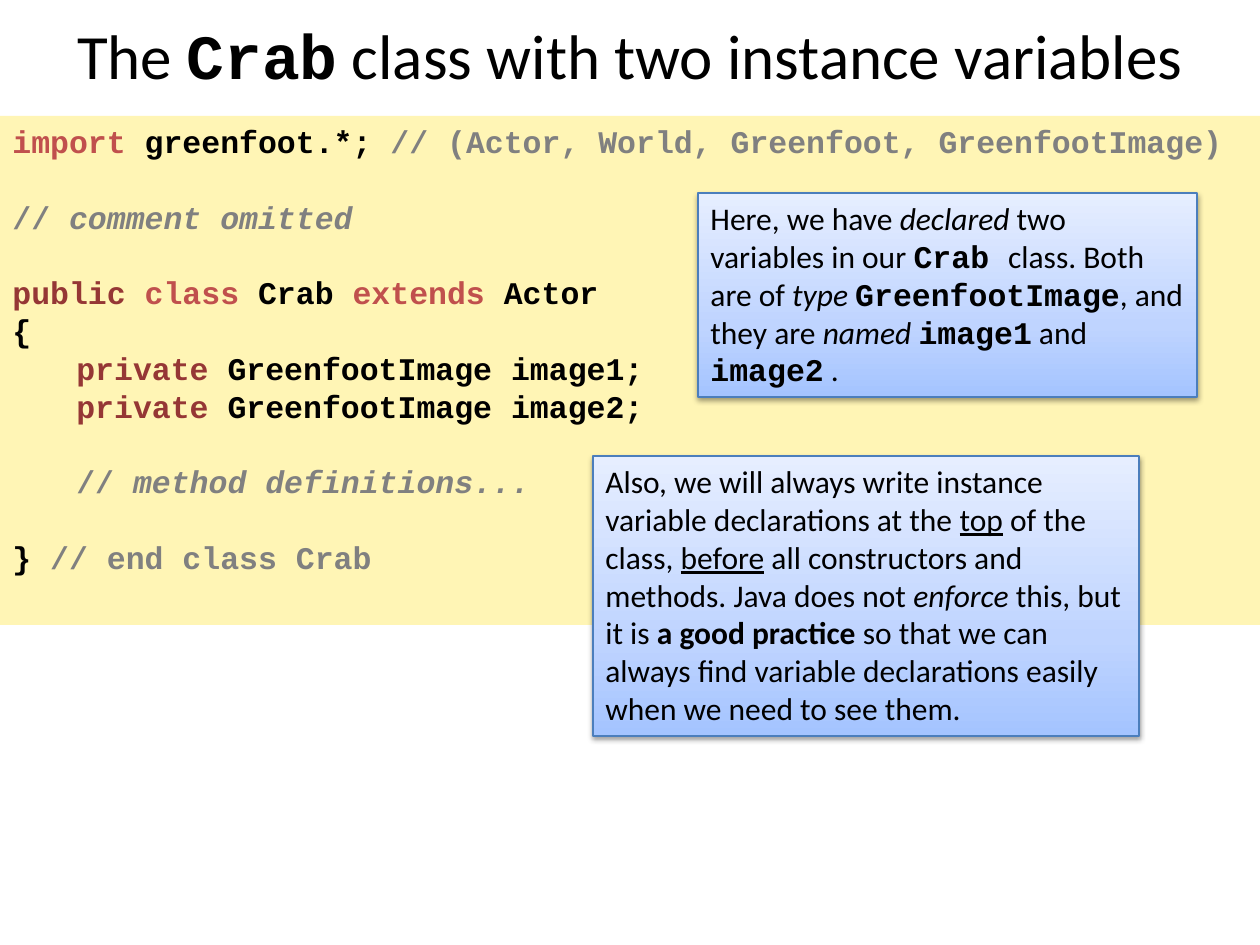
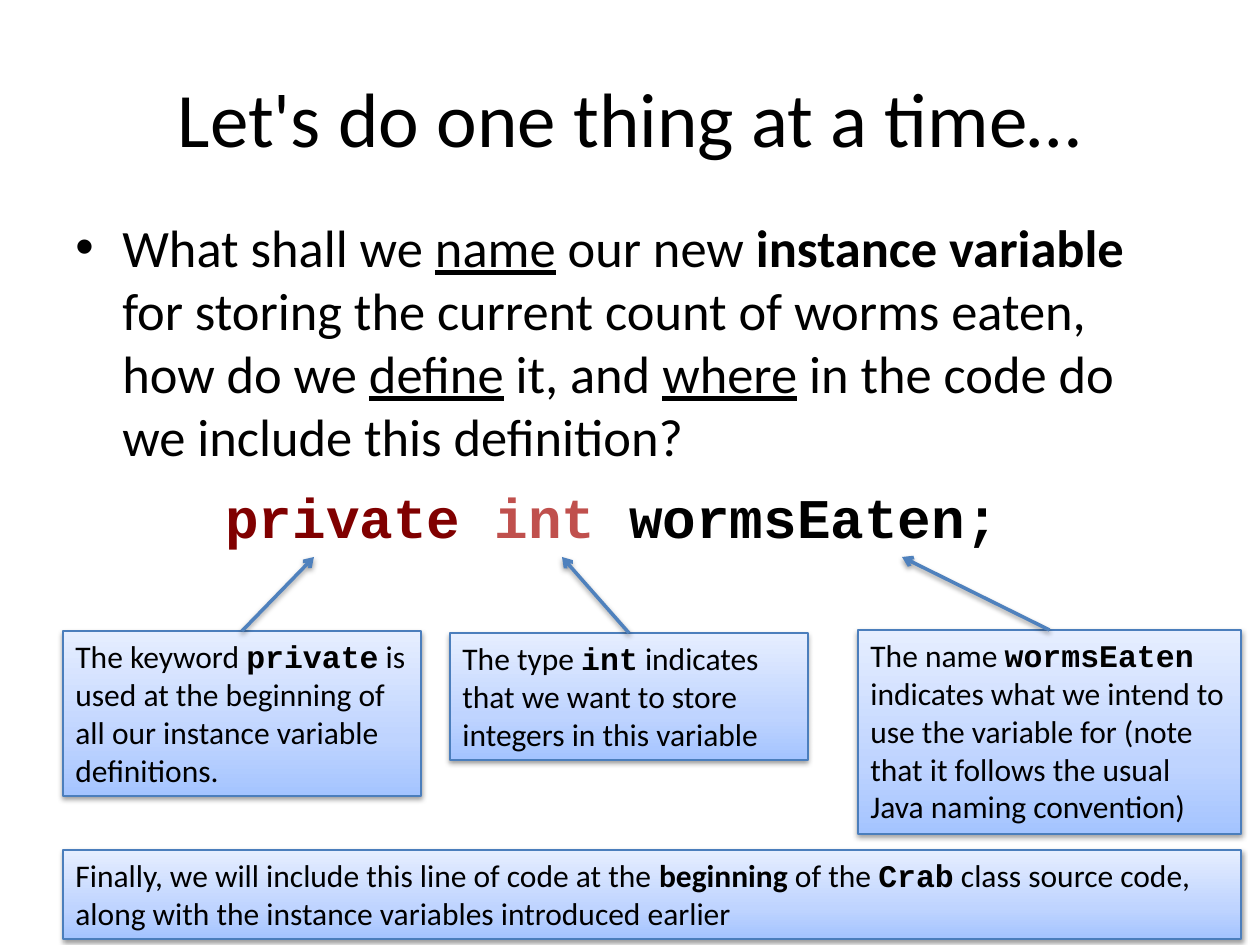
from lxml.etree import SubElement
from pptx import Presentation
from pptx.dml.color import RGBColor
from pptx.enum.shapes import MSO_CONNECTOR, MSO_SHAPE
from pptx.enum.text import MSO_ANCHOR, PP_ALIGN
from pptx.oxml.ns import qn
from pptx.util import Pt

SLIDE_WIDTH, SLIDE_HEIGHT = 1260, 945
EMU_PER_PX = 914400 / 126

BODY_FONT, CODE_FONT = "Calibri", "Courier New"
BLACK, CODE_BAND = "000000", "FFF5B5"
NOTE_GRADIENT = [(0, "A4C4FF"), (35, "BFD4FF"), (100, "E6EEFF")]
NOTE_BORDER, ARROW_COLOR = "4B7EBC", "4F81BD"
CODE_SIZE = NOTE_SIZE = 18
CODE_BLANK_LINE = 21.6
CODE_TAB = 64
BULLET_INDENT = 47

STYLES = {
    "plain": {},
    "italic": {"italic": True},
    "bold": {"bold": True},
    "underline": {"underline": True},
    "code": {"name": CODE_FONT, "bold": True},
    "keyword": {"color": "C0504D"},
    "modifier": {"color": "953735"},
    "dark modifier": {"color": "800000"},
    "comment": {"color": "808080"},
    "italic comment": {"color": "808080", "italic": True},
}

# A run is a plain string or a (text, style) pair.
CRAB_TITLE = ["The ", ("Crab", "code"), " class with two instance variables"]

# Each group of code lines is set off from the one before by one blank line.
CRAB_CODE = [
    [[("import ", "keyword"), "greenfoot.*; ",
      ("// (Actor, World, Greenfoot, GreenfootImage)", "comment")]],
    [[("// ", "comment"), ("comment omitted", "italic comment")]],
    [[("public", "modifier"), (" class ", "keyword"), "Crab",
      (" extends ", "keyword"), "Actor"],
     ["{"],
     ["\t", ("private ", "modifier"), "GreenfootImage image1;"],
     ["\t", ("private ", "modifier"), "GreenfootImage image2;"]],
    [["\t", ("// ", "comment"), ("method definitions...", "italic comment")]],
    [["} ", ("// end class Crab", "comment")]],
]

CRAB_NOTES = [
    ((698, 193, 499, 204),
     ["Here, we have ", ("declared", "italic"), " two variables in our ",
      ("Crab ", "code"), "class. Both are of ", ("type ", "italic"),
      ("GreenfootImage", "code"), ", and they are ", ("named ", "italic"),
      ("image1", "code"), " and ", ("image2", "code"), " ."]),
    ((593, 456, 546, 280),
     ["Also, we will always write instance variable declarations at the ",
      ("top", "underline"), " of the class, ", ("before", "underline"),
      " all constructors and methods. Java does not ", ("enforce", "italic"),
      " this, but it is ", ("a good practice ", "bold"),
      "so that we can always find variable declarations easily "
      "when we need to see them."]),
]

STEP_TITLE = ["Let's do one thing at a time…"]
QUESTION = ["What shall we ", ("name", "underline"), " our new ",
            ("instance variable ", "bold"),
            "for storing the current count of worms eaten, how do we ",
            ("define", "underline"), " it, and ", ("where", "underline"),
            " in the code do we include this definition?"]
DECLARATION = [("private ", "dark modifier"), ("int ", "keyword"), "wormsEaten;"]

# Box, arrow tip and text of each part of the declaration.
DECLARATION_NOTES = [
    ((63, 631, 358, 165), (314, 557),
     ["The keyword ", ("private", "code"),
      " is used at the beginning of all our instance variable definitions."]),
    ((450, 633, 358, 127), (562, 557),
     ["The type ", ("int", "code"),
      " indicates that we want to store integers in this variable"]),
    ((858, 630, 383, 204), (902, 557),
     ["The name ", ("wormsEaten", "code"),
      " indicates what we intend to use the variable for "
      "(note that it follows the usual Java naming convention)"]),
]
CONCLUSION = ["Finally, we will include this line of code at the ",
              ("beginning", "bold"), " of the ", ("Crab", "code"),
              " class source code, along with the instance variables "
              "introduced earlier"]


def px(length):
    return round(length * EMU_PER_PX)


def rgb(value):
    return RGBColor.from_string(value)


def add_element(parent, tag, **attributes):
    """Append a DrawingML element and return it."""
    return SubElement(parent, qn(f"a:{tag}"),
                      {key: str(value) for key, value in attributes.items()})


def add_color(parent, value):
    return add_element(parent, "srgbClr", val=value)


def write_paragraph(paragraph, runs, size, name=BODY_FONT, bold=False,
                    align=PP_ALIGN.LEFT, space_before=0, bullet=None, tab=None):
    properties = paragraph._p.get_or_add_pPr()
    if bullet:
        properties.set("marL", str(px(BULLET_INDENT)))
        properties.set("indent", str(-px(BULLET_INDENT)))
        add_element(properties, "buFont", typeface="Arial")
        add_element(properties, "buChar", char=bullet)
    if tab:
        add_element(add_element(properties, "tabLst"), "tab", pos=px(tab), algn="l")
    paragraph.alignment = align
    paragraph.space_before = Pt(space_before)
    for item in runs:
        text, style = (item, "plain") if isinstance(item, str) else item
        look = {"name": name, "bold": bold, "color": BLACK, **STYLES[style]}
        run = paragraph.add_run()
        run.text = text
        run.font.size = Pt(size)
        run.font.color.rgb = rgb(look.pop("color"))
        for attribute, value in look.items():
            setattr(run.font, attribute, value)


def add_text(slide, box, runs, anchor=MSO_ANCHOR.TOP, **text_format):
    shape = slide.shapes.add_textbox(*map(px, box))
    shape.text_frame.word_wrap = True
    shape.text_frame.vertical_anchor = anchor
    write_paragraph(shape.text_frame.paragraphs[0], runs, **text_format)


def add_title(slide, box, runs, size):
    add_text(slide, box, runs, anchor=MSO_ANCHOR.MIDDLE, size=size,
             align=PP_ALIGN.CENTER)


def add_rectangle(slide, box):
    shape = slide.shapes.add_shape(MSO_SHAPE.RECTANGLE, *map(px, box))
    shape.shadow.inherit = False
    shape.text_frame.word_wrap = True
    shape.text_frame.vertical_anchor = MSO_ANCHOR.TOP
    return shape


def add_shadow(effects):
    shadow = add_element(effects, "outerShdw", blurRad=Pt(3.1), dist=Pt(1.6),
                         dir=90 * 60000, rotWithShape=0)
    add_element(add_color(shadow, BLACK), "alpha", val=38000)


def add_note(slide, box, runs):
    """Add a shaded blue box with a thin border, a shadow and text."""
    note = add_rectangle(slide, box)
    note.fill.gradient()
    note.fill.gradient_angle = 90
    properties = note._element.spPr
    stops = properties.find(".//" + qn("a:gsLst"))
    stops.clear()
    for position, color in NOTE_GRADIENT:
        add_color(add_element(stops, "gs", pos=position * 1000), color)
    note.line.color.rgb = rgb(NOTE_BORDER)
    note.line.width = Pt(0.75)
    add_shadow(properties.find(qn("a:effectLst")))
    write_paragraph(note.text_frame.paragraphs[0], runs, size=NOTE_SIZE)
    return note


def add_arrow(slide, note, tip):
    """Draw an arrow from the top of a note to the tip."""
    arrow = slide.shapes.add_connector(MSO_CONNECTOR.STRAIGHT, 0, 0, *map(px, tip))
    arrow.begin_connect(note, 0)
    arrow.line.color.rgb = rgb(ARROW_COLOR)
    arrow.line.width = Pt(2)
    properties = arrow._element.spPr
    add_element(properties.find(qn("a:ln")), "tailEnd", type="arrow")
    add_shadow(add_element(properties, "effectLst"))


def add_code_band(slide, box, groups):
    band = add_rectangle(slide, box)
    band.fill.solid()
    band.fill.fore_color.rgb = rgb(CODE_BAND)
    band.line.fill.background()
    frame = band.text_frame
    for group_number, group in enumerate(groups):
        for line_number, runs in enumerate(group):
            is_first = group_number == line_number == 0
            starts_group = group_number > 0 and line_number == 0
            write_paragraph(frame.paragraphs[0] if is_first else frame.add_paragraph(),
                            runs, size=CODE_SIZE, name=CODE_FONT, bold=True,
                            tab=CODE_TAB,
                            space_before=CODE_BLANK_LINE if starts_group else 0)


def build_crab_slide(slide):
    add_title(slide, (63, 0, 1134, 108), CRAB_TITLE, size=36)
    add_code_band(slide, (0, 116, SLIDE_WIDTH, 509), CRAB_CODE)
    for box, runs in CRAB_NOTES:
        add_note(slide, box, runs)


def build_declaration_slide(slide):
    add_title(slide, (63, 38, 1134, 158), STEP_TITLE, size=44)
    add_text(slide, (63, 209, 1134, 624), QUESTION, size=30, bullet="•")
    add_text(slide, (213, 476, 880, 81), DECLARATION, size=32, name=CODE_FONT,
             bold=True)
    for box, tip, runs in DECLARATION_NOTES:
        add_arrow(slide, add_note(slide, box, runs), tip)
    add_note(slide, (63, 850, 1178, 89), CONCLUSION)


def main():
    presentation = Presentation()
    presentation.slide_width = px(SLIDE_WIDTH)
    presentation.slide_height = px(SLIDE_HEIGHT)
    for build in (build_crab_slide, build_declaration_slide):
        build(presentation.slides.add_slide(presentation.slide_layouts[6]))
    presentation.save("out.pptx")


if __name__ == "__main__":
    main()
